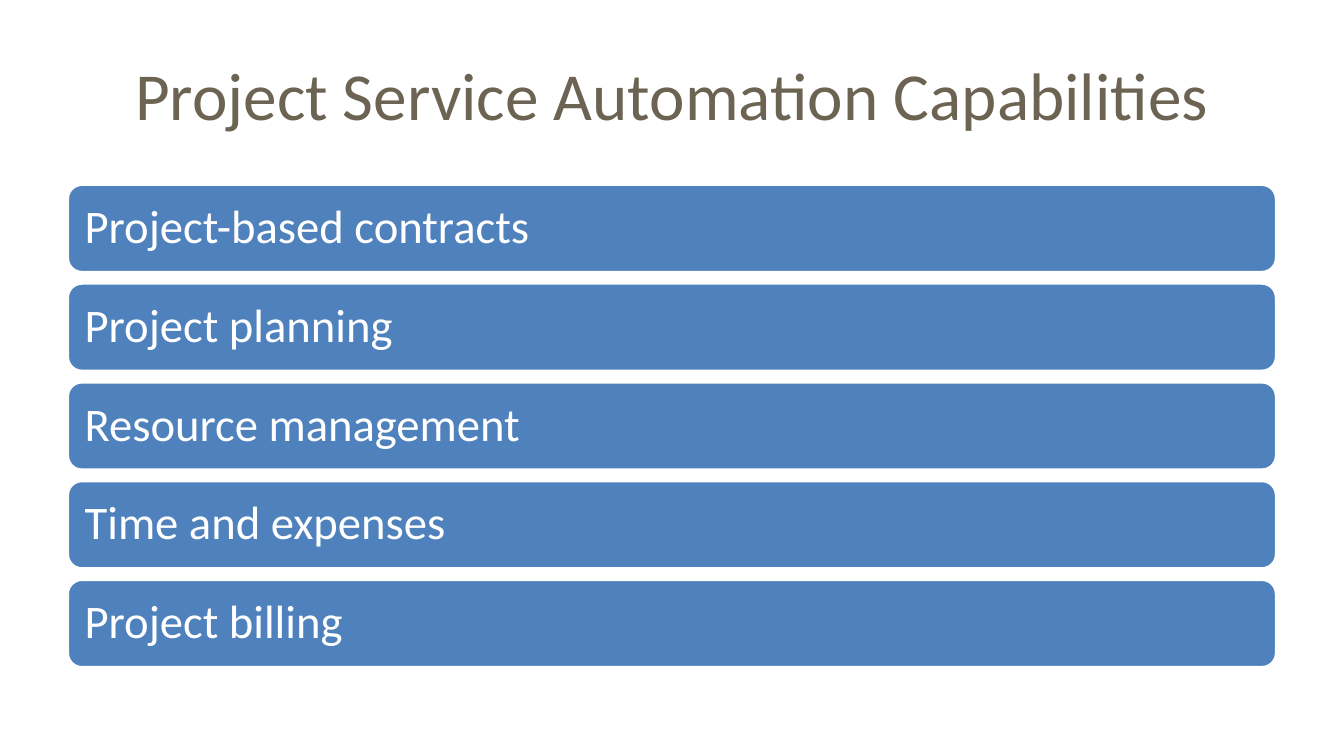
from pptx import Presentation
from pptx.dml.color import RGBColor
from pptx.enum.shapes import MSO_SHAPE
from pptx.enum.text import MSO_ANCHOR, PP_ALIGN
from pptx.util import Inches, Pt

ROUND = MSO_SHAPE.ROUNDED_RECTANGLE
MIDDLE = MSO_ANCHOR.MIDDLE
LEFT, CENTER = PP_ALIGN.LEFT, PP_ALIGN.CENTER

TITLE = "Project Service Automation Capabilities"
ITEMS = [
    "Project-based contracts",
    "Project planning",
    "Resource management",
    "Time and expenses",
    "Project billing",
]
COLORS = {"title": "6C6352", "bar": "4F81BD", "white": "FFFFFF"}
FONT = "Calibri"
EDGE, WIDTH = 0.5, 9
TOP, LAST, HEIGHT = 1.37, 4.31, 0.66
STEP = (LAST - TOP) / (len(ITEMS) - 1)
INSET = 0.1


def color(name):
    return RGBColor.from_string(COLORS[name])


def write(shape, text, size, name, align):
    frame = shape.text_frame
    frame.text = text
    frame.word_wrap = True
    frame.vertical_anchor = MIDDLE
    line = frame.paragraphs[0]
    line.alignment = align
    font = line.runs[0].font
    font.name, font.size = FONT, Pt(size)
    font.color.rgb = color(name)
    return line


def add_bar(slide, row, text):
    bar = slide.shapes.add_shape(
        ROUND, Inches(EDGE), Inches(TOP + row * STEP), Inches(WIDTH), Inches(HEIGHT)
    )
    bar.shadow.inherit = False
    bar.fill.solid()
    bar.fill.fore_color.rgb = color("bar")
    bar.line.color.rgb = color("white")
    bar.line.width = Pt(2)
    frame = bar.text_frame
    frame.margin_left = frame.margin_right = Inches(INSET)
    frame.margin_top = frame.margin_bottom = Inches(INSET)
    line = write(bar, text, 25, "white", LEFT)
    line.line_spacing = 0.9


def main():
    deck = Presentation()
    deck.slide_width = Inches(10)
    deck.slide_height = deck.slide_width * 9 // 16
    slide = deck.slides.add_slide(deck.slide_layouts[5])
    title = slide.shapes.title
    title.left, title.top = Inches(EDGE), Inches(0.23)
    title.width, title.height = Inches(WIDTH), Inches(0.94)
    write(title, TITLE, 36, "title", CENTER)
    for row, text in enumerate(ITEMS):
        add_bar(slide, row, text)
    deck.save("out.pptx")


if __name__ == "__main__":
    main()
